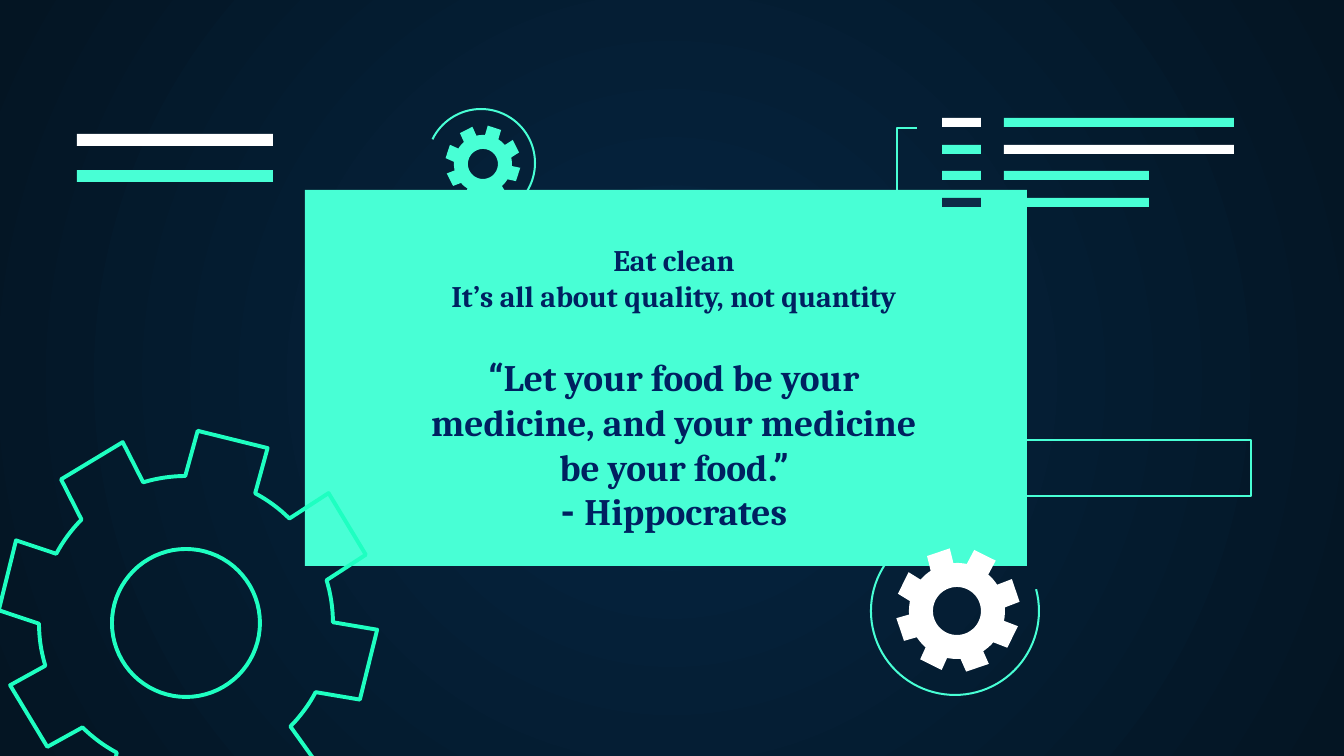
"""Build a food quote slide framed by gears, bars and outlines."""
from math import asin, cos, degrees, radians, sin

from lxml.etree import SubElement
from pptx import Presentation
from pptx.dml.color import RGBColor
from pptx.enum.shapes import MSO_SHAPE as Shape
from pptx.enum.text import MSO_ANCHOR as Anchor, PP_ALIGN as Align
from pptx.oxml.ns import qn
from pptx.util import Pt

PX = 914400 / 134.4
COLORS = {
    "mint": "48FFD5", "bright": "1EFFC1", "white": "FFFFFF", "slate": "0E2A47",
    "ink": "002060", "center": "052643", "edge": "041523",
}
THIN = 1.09


def emu(px):
    return round(px * PX)


def color(name):
    return RGBColor.from_string(COLORS[name])


def arc_points(center, radius, start, end, steps):
    x, y = center
    angles = [radians(start + (end - start) * i / steps) for i in range(steps + 1)]
    return [(x + radius * cos(a), y + radius * sin(a)) for a in angles]


class Painter:
    def __init__(self, presentation):
        self.slide = presentation.slides.add_slide(presentation.slide_layouts[6])
        self.shapes = self.slide.shapes

    def background(self, center, edge):
        fill = self.slide.background.fill
        fill.gradient()
        for stop, name in zip(fill.gradient_stops, (center, edge)):
            stop.color.rgb = color(name)
        gradient = self.slide.element.find(".//" + qn("a:gradFill"))
        gradient.remove(gradient.find(qn("a:lin")))
        radial = SubElement(gradient, qn("a:path"), path="circle")
        SubElement(radial, qn("a:fillToRect"), dict.fromkeys("ltrb", "50000"))

    def style(self, shape, fill=None, line=None, width=THIN):
        shape.shadow.inherit = False
        if fill:
            shape.fill.solid()
            shape.fill.fore_color.rgb = color(fill)
        else:
            shape.fill.background()
        if line:
            shape.line.color.rgb = color(line)
            shape.line.width = Pt(width)
        else:
            shape.line.fill.background()

    def preset(self, kind, x, y, width, height, **look):
        shape = self.shapes.add_shape(kind, emu(x), emu(y), emu(width), emu(height))
        self.style(shape, **look)
        return shape

    def rectangle(self, x, y, width, height, **look):
        self.preset(Shape.RECTANGLE, x, y, width, height, **look)

    def arc(self, x, y, radius, start, end, line):
        shape = self.preset(Shape.ARC, x - radius, y - radius, 2 * radius, 2 * radius, line=line)
        for index, angle in enumerate((start, end)):
            shape.adjustments[index] = angle * 0.6

    def outline(self, contours, close=True, **look):
        builder = None
        for contour in contours:
            first, *rest = [(emu(x), emu(y)) for x, y in contour]
            if builder is None:
                builder = self.shapes.build_freeform(*first, scale=1.0)
            else:
                builder.move_to(*first)
            builder.add_line_segments(rest, close=close)
        self.style(builder.convert_to_shape(), **look)

    def gear(self, center, core, tip, root, hole, half_width, turn, **look):
        x, y = center
        flank = degrees(asin(half_width / root))
        rim = []
        for tooth in range(8):
            angle = turn + 45 * tooth
            a = radians(angle)
            for side in (-half_width, half_width):
                rim.append((x + tip * cos(a) - side * sin(a), y + tip * sin(a) + side * cos(a)))
            rim += arc_points(core, root, angle + flank, angle + 45 - flank, 8)
        self.outline([rim, arc_points(core, hole, 360, 0, 72)[:-1]], **look)

    def text(self, x, y, width, height, paragraphs):
        frame = self.shapes.add_textbox(emu(x), emu(y), emu(width), emu(height)).text_frame
        frame.word_wrap = True
        frame.vertical_anchor = Anchor.TOP
        for side in ("left", "right", "top", "bottom"):
            setattr(frame, "margin_" + side, Pt(7.2))
        for index, (size, gap, runs) in enumerate(paragraphs):
            paragraph = frame.add_paragraph() if index else frame.paragraphs[0]
            paragraph.alignment = Align.CENTER
            paragraph.space_before = Pt(gap)
            for line_index, (words, font) in enumerate(runs):
                if words.startswith("\n"):
                    paragraph.add_line_break()
                run = paragraph.add_run()
                run.text = words.strip("\n")
                run.font.name = font
                run.font.size = Pt(size)
                run.font.bold = True
                run.font.color.rgb = color("ink")


def main():
    presentation = Presentation()
    presentation.slide_width, presentation.slide_height = emu(1344), emu(756)
    painter = Painter(presentation)
    painter.background("center", "edge")
    painter.rectangle(305, 190, 722, 376, fill="mint")

    painter.arc(481, 163, 54, 206, 96, "mint")
    painter.arc(955, 611, 84, 345, 233, "mint")
    painter.gear((188, 620), (186, 623), 186, 147, 74, 36, 13.9, line="bright", width=2.1)
    painter.gear((958, 610), (957, 611), 61, 48, 24, 12, 26.3, fill="white")
    painter.gear((483, 163), (483, 164), 37, 29, 15, 7, 18.1, fill="mint")

    rows = [("white", "mint", 230), ("mint", "white", 230),
            ("mint", "mint", 145), ("slate", "mint", 145)]
    for index, (label, bar, length) in enumerate(rows):
        y = round(118 + 80 * index / 3)
        painter.rectangle(942, y, 39, 9, fill=label)
        painter.rectangle(1004, y, length, 9, fill=bar)
    painter.outline([[(918, 210), (897, 210), (897, 128), (917, 128)]], close=False, line="mint")
    for index, fill in enumerate(("white", "mint")):
        painter.rectangle(77, 134 + 36 * index, 196, 12, fill=fill)
    painter.rectangle(968, 440, 283, 56, line="mint")

    painter.text(405, 228, 538, 187, [
        (16, 0, [("Eat clean", "Cambria"),
                 ("\nIt’s all about quality, not quantity", "Cambria")]),
        (20, 22, [("“", "Roboto"),
                  ("Let your food be your medicine, and your medicine be your food", "Cambria"),
                  (".”", "Roboto")]),
        (20, 0, [("- ", "Roboto"), ("Hippocrates", "Cambria")]),
    ])
    presentation.save("out.pptx")


if __name__ == "__main__":
    main()
